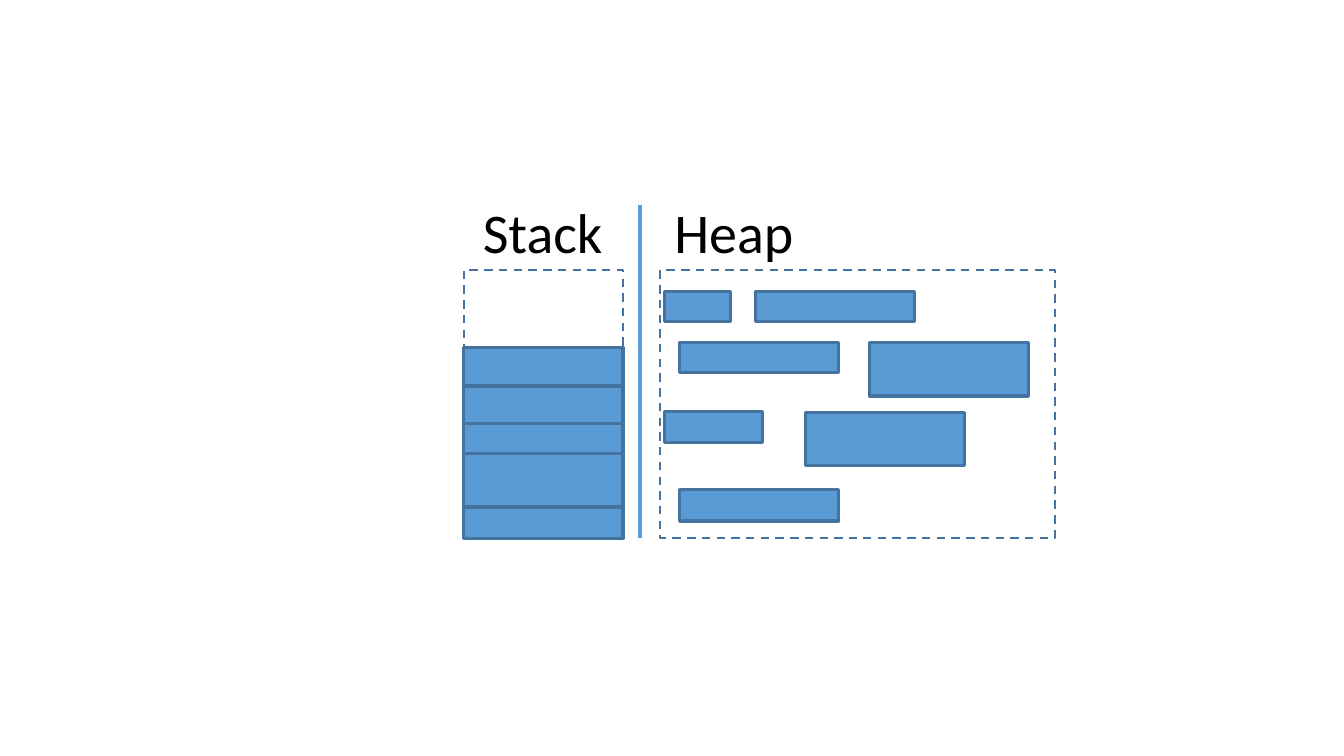
from dataclasses import dataclass

import pptx
import pptx.dml.color
import pptx.enum.dml
import pptx.enum.shapes
import pptx.enum.text
import pptx.oxml
import pptx.oxml.ns
import pptx.util
from pptx.util import Inches


@dataclass(frozen=True)
class Theme:
    font: str = "Calibri"
    heading_size: float = 40
    text: str = "000000"
    block: str = "5B9BD5"
    outline: str = "43739E"
    block_line: float = 2.25
    region_line: float = 1.5
    divider_line: float = 3


THEME = Theme()
STACK_LEFT, STACK_WIDTH = 4.6, 1.58
REGION_TOP, REGION_HEIGHT = 2.68, 2.66
STACK_TOP = 3.45
FRAME_HEIGHTS = [0.38, 0.37, 0.3, 0.53, 0.31]
HEAP_BLOCKS = [
    (6.59, 2.89, 0.66, 0.3),
    (7.49, 2.89, 1.58, 0.3),
    (6.74, 3.4, 1.58, 0.3),
    (8.62, 3.4, 1.58, 0.53),
    (7.99, 4.09, 1.58, 0.53),
    (6.59, 4.08, 0.97, 0.31),
    (6.74, 4.86, 1.58, 0.31),
]


def color(value):
    return pptx.dml.color.RGBColor.from_string(value)


def apply_format(target, values):
    for name, value in values.items():
        setattr(target, name, value)


def add_heading(slide, text, left):
    box = slide.shapes.add_textbox(Inches(left), Inches(1.91), Inches(1.4), Inches(0.77))
    apply_format(box.text_frame, {
        "word_wrap": True,
        "auto_size": pptx.enum.text.MSO_AUTO_SIZE.SHAPE_TO_FIT_TEXT,
    })
    paragraph = box.text_frame.paragraphs[0]
    paragraph.text = text
    font = paragraph.runs[0].font
    apply_format(font, {"name": THEME.font, "size": pptx.util.Pt(THEME.heading_size)})
    font.color.rgb = color(THEME.text)


def add_rectangle(slide, bounds, line_width):
    shape = slide.shapes.add_shape(
        pptx.enum.shapes.MSO_SHAPE.RECTANGLE, *map(Inches, bounds))
    shape.shadow.inherit = False
    shape.line.color.rgb = color(THEME.outline)
    shape.line.width = pptx.util.Pt(line_width)
    return shape


def add_block(slide, bounds):
    shape = add_rectangle(slide, bounds, THEME.block_line)
    shape.fill.solid()
    shape.fill.fore_color.rgb = color(THEME.block)


def add_region(slide, left, width):
    shape = add_rectangle(
        slide, (left, REGION_TOP, width, REGION_HEIGHT), THEME.region_line)
    shape.fill.background()
    shape.line.dash_style = pptx.enum.dml.MSO_LINE.DASH


def add_divider(slide, x, top, bottom):
    connector = slide.shapes.add_connector(
        pptx.enum.shapes.MSO_CONNECTOR.STRAIGHT,
        Inches(x), Inches(top), Inches(x), Inches(bottom))
    connector.line.color.rgb = color(THEME.block)
    connector.line.width = pptx.util.Pt(THEME.divider_line)
    properties = connector.element.find(pptx.oxml.ns.qn("p:spPr"))
    properties.append(pptx.oxml.parse_xml(
        f'<a:effectLst {pptx.oxml.ns.nsdecls("a")}/>'))


def add_stack_frames(slide):
    top = STACK_TOP
    for height in FRAME_HEIGHTS:
        add_block(slide, (STACK_LEFT, top, STACK_WIDTH, height))
        top += height


def main():
    presentation = pptx.Presentation()
    apply_format(presentation, {
        "slide_width": Inches(13.33), "slide_height": Inches(7.5)})
    slide = presentation.slides.add_slide(presentation.slide_layouts[6])

    add_divider(slide, 6.35, 2.03, 5.34)
    add_heading(slide, "Stack", 4.69)
    add_heading(slide, "Heap", 6.59)
    add_region(slide, STACK_LEFT, STACK_WIDTH)
    add_region(slide, 6.55, 3.91)
    add_stack_frames(slide)
    for bounds in HEAP_BLOCKS:
        add_block(slide, bounds)

    presentation.save("out.pptx")


if __name__ == "__main__":
    main()
